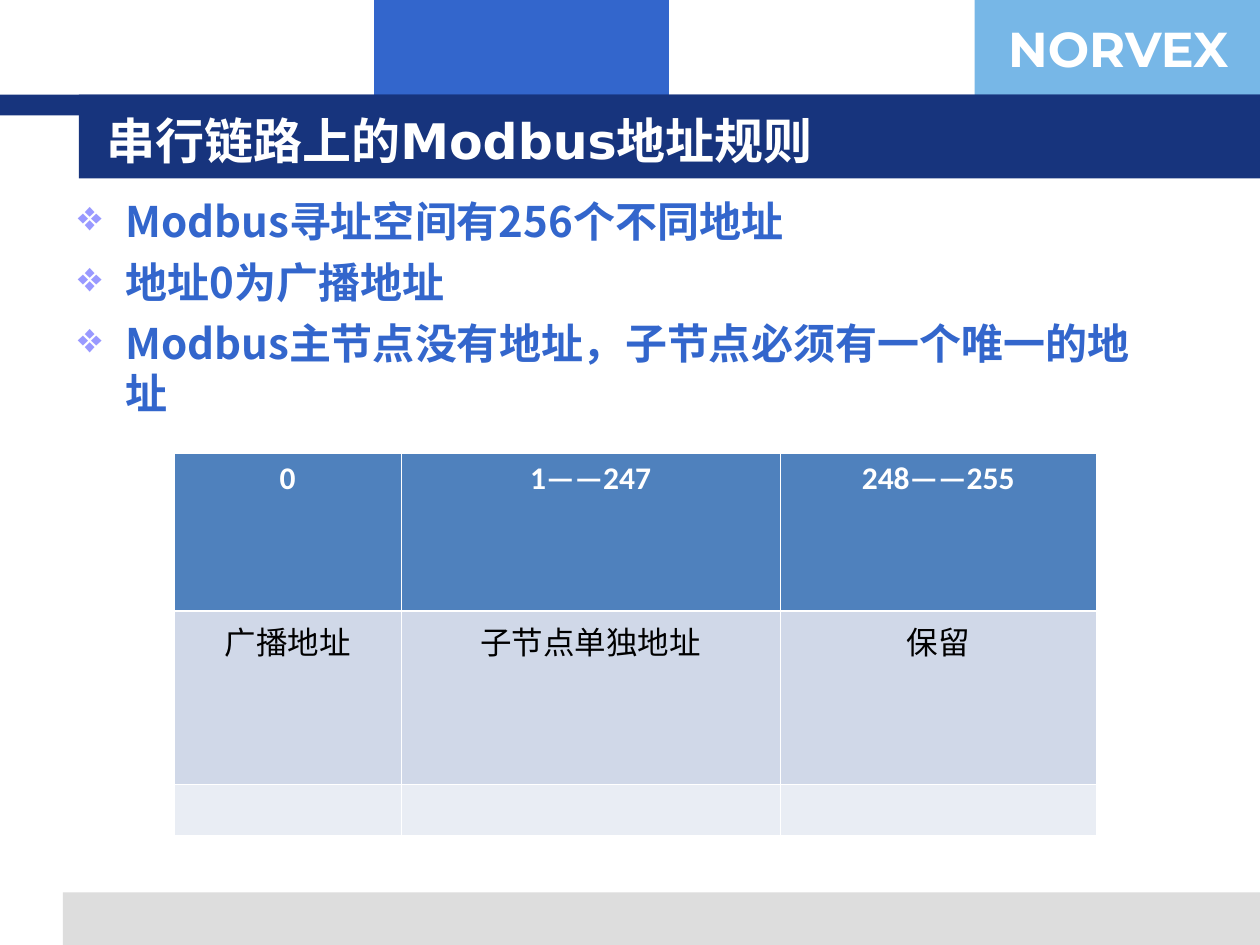
from lxml import etree
from pptx import Presentation
from pptx import util as u
from pptx.dml.color import RGBColor
from pptx.enum import shapes, text
from pptx.oxml import ns

WHITE = RGBColor(0xFF, 0xFF, 0xFF)
BLACK = RGBColor(0x00, 0x00, 0x00)
GREY = RGBColor(0xDD, 0xDD, 0xDD)
SKY = RGBColor(0x77, 0xB7, 0xE7)
BLUE = RGBColor(0x33, 0x66, 0xCC)
NAVY = RGBColor(0x17, 0x34, 0x7D)
LILAC = RGBColor(0x99, 0x99, 0xFF)
HEAD = RGBColor(0x4F, 0x81, 0xBD)
BAND_DARK = RGBColor(0xD0, 0xD8, 0xE8)
BAND_LIGHT = RGBColor(0xE9, 0xED, 0xF4)

CJK = "Noto Sans CJK SC"
LEFT, CENTER = text.PP_ALIGN.LEFT, text.PP_ALIGN.CENTER


def sub(parent, tag, **attrs):
    return etree.SubElement(parent, ns.qn(tag), attrs)


def write(p, content, font=CJK, size=18, color=BLACK, bold=False, align=LEFT, before=0):
    p.alignment = align
    p.space_before = u.Pt(before)
    r = p.add_run()
    r.text = content
    r.font.name, r.font.size, r.font.bold = font, u.Pt(size), bold
    r.font.color.rgb = color
    sub(r.font._element, "a:ea", typeface=CJK)


def add_bullet(p, char, color, indent):
    pPr = p._p.get_or_add_pPr()
    pPr.set("marL", str(u.Pt(indent)))
    pPr.set("indent", str(-u.Pt(indent)))
    sub(sub(pPr, "a:buClr"), "a:srgbClr", val=str(color))
    sub(pPr, "a:buChar", char=char)


def add_border(cell, side, width, color):
    ln = sub(cell._tc.get_or_add_tcPr(), f"a:ln{side}", w=str(u.Pt(width)))
    sub(sub(ln, "a:solidFill"), "a:srgbClr", val=str(color))


class Deck:
    thin, thick = 0.45, 1.47

    def __init__(self, width, height):
        self.prs = Presentation()
        self.prs.slide_width, self.prs.slide_height = u.Pt(width), u.Pt(height)
        self.s = self.prs.slides.add_slide(self.prs.slide_layouts[6])

    def bar(self, x, y, w, h, color):
        sp = self.s.shapes.add_shape(shapes.MSO_SHAPE.RECTANGLE, *map(u.Pt, (x, y, w, h)))
        sp.shadow.inherit = False
        sp.fill.solid()
        sp.fill.fore_color.rgb = color
        sp.line.fill.background()

    def text(self, x, y, w, h, lines, anchor=text.MSO_ANCHOR.TOP, bullet=None, **fmt):
        tf = self.s.shapes.add_textbox(*map(u.Pt, (x, y, w, h))).text_frame
        tf.word_wrap = True
        tf.vertical_anchor = anchor
        for i, line in enumerate(lines):
            p = tf.add_paragraph() if i else tf.paragraphs[0]
            write(p, line, **fmt)
            if bullet:
                add_bullet(p, bullet, LILAC, 27)

    def table(self, x, y, widths, heights, rows, fills):
        tbl = self.s.shapes.add_table(
            len(heights), len(widths),
            *map(u.Pt, (x, y, sum(widths), sum(heights)))).table
        for col, width in zip(tbl.columns, widths):
            col.width = u.Pt(width)
        for i, height in enumerate(heights):
            tbl.rows[i].height = u.Pt(height)
            for j, content in enumerate(rows[i]):
                self.cell(tbl.cell(i, j), i, content, fills[i])

    def cell(self, cell, row, content, fill):
        top = self.thick if row == 1 else self.thin
        bottom = self.thick if row == 0 else self.thin
        for side, width in zip("LRTB", (self.thin, self.thin, top, bottom)):
            add_border(cell, side, width, WHITE)
        cell.fill.solid()
        cell.fill.fore_color.rgb = fill
        if content:
            write(cell.text_frame.paragraphs[0], content, font="Calibri",
                  color=BLACK if row else WHITE, bold=row == 0, align=CENTER, before=4.5)


def main():
    deck = Deck(720, 540)
    deck.bar(36, 510, 684, 30, GREY)
    deck.bar(557, 0, 163, 66, SKY)
    deck.bar(213.75, 0, 168.5, 66, BLUE)
    deck.bar(0, 54, 720, 12, NAVY)
    deck.bar(45, 54, 675, 48, NAVY)
    deck.text(564, 7, 150, 41, ["NORVEX"], font="Montserrat", size=28,
              color=WHITE, bold=True, align=CENTER, before=17.5)
    deck.text(54, 57.5, 642, 44.5, ["串行链路上的Modbus地址规则"],
              anchor=text.MSO_ANCHOR.MIDDLE, font="DejaVu Sans", size=28,
              color=WHITE, bold=True)
    deck.text(37.5, 108, 634.5, 140,
              ["Modbus寻址空间有256个不同地址",
               "地址0为广播地址",
               "Modbus主节点没有地址，子节点必须有一个唯一的地址"],
              bullet="❖", size=24, color=BLUE, bold=True, before=6)
    deck.table(99.4, 258.8, [129.8, 216.6, 180.7], [90.5, 99, 29],
               [["0", "1——247", "248——255"],
                ["广播地址", "子节点单独地址", "保留"],
                ["", "", ""]],
               [HEAD, BAND_DARK, BAND_LIGHT])
    deck.prs.save("out.pptx")


if __name__ == "__main__":
    main()
